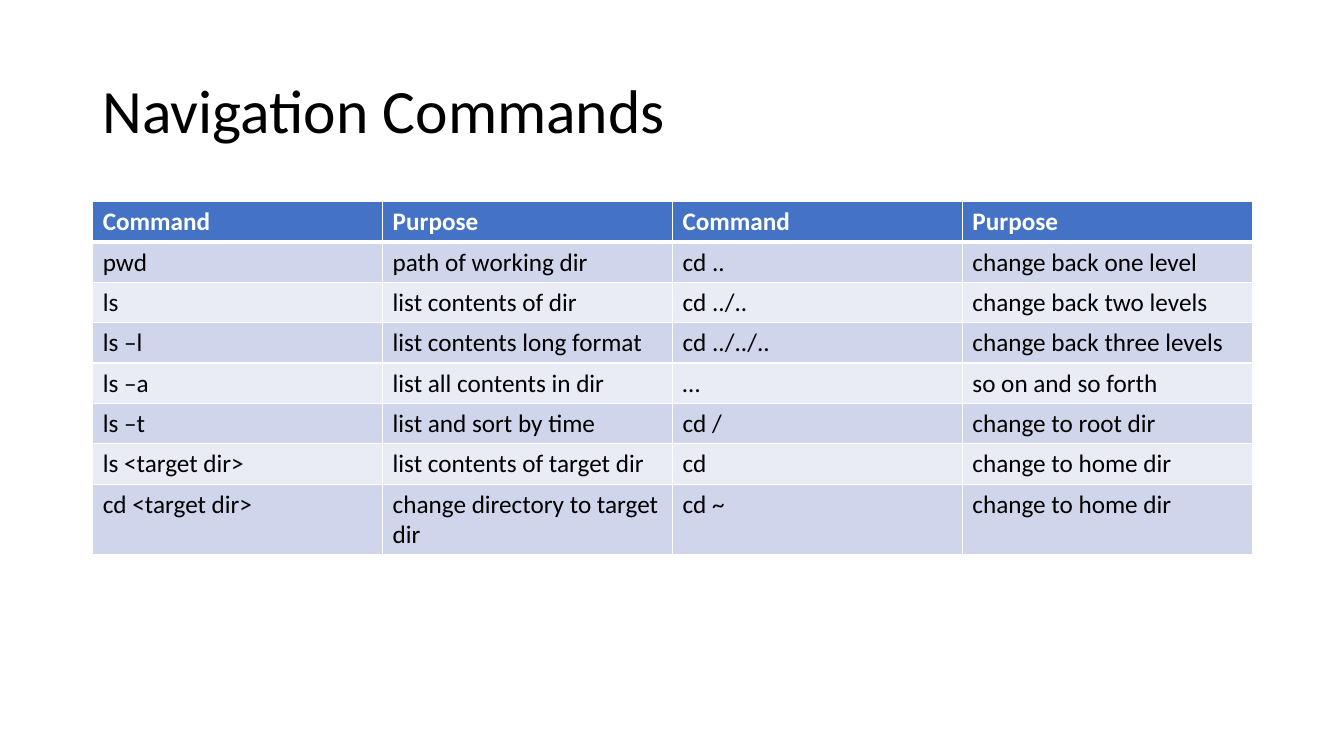
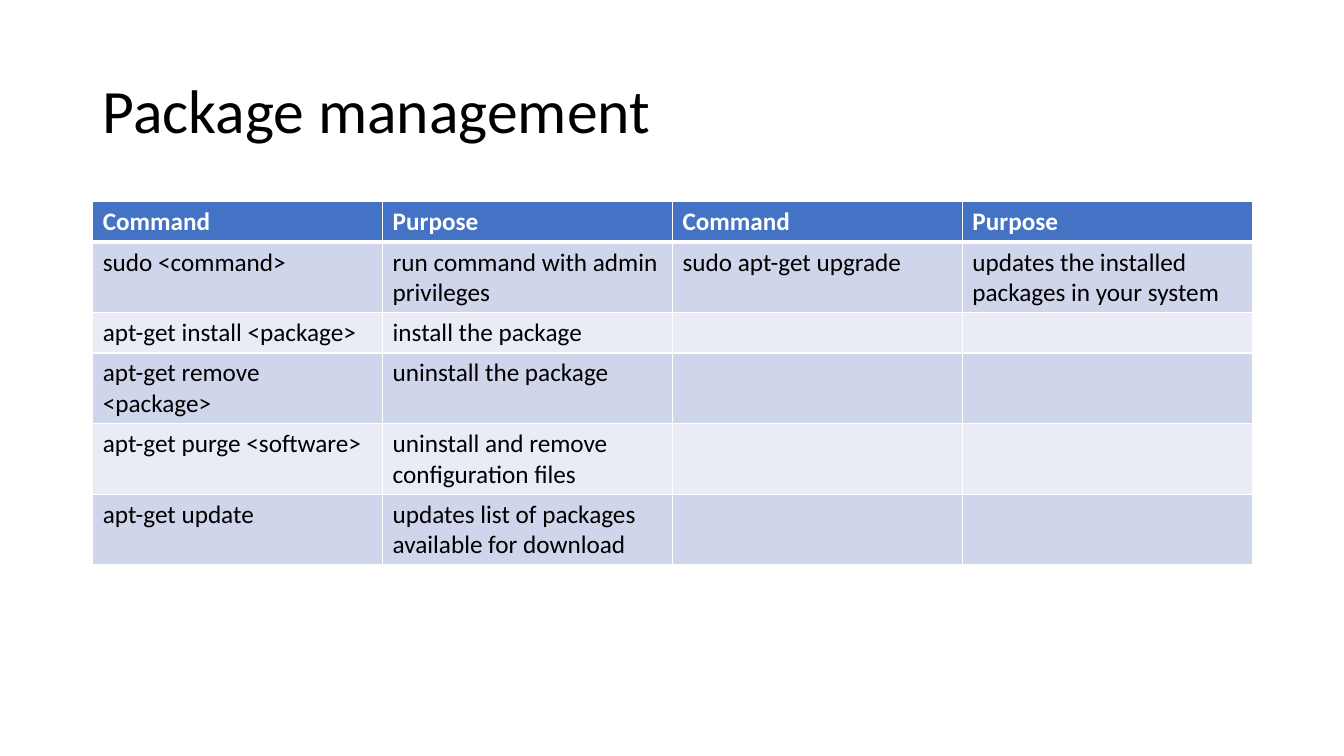
from lxml import etree
from pptx import Presentation
from pptx.dml.color import RGBColor
from pptx.enum.text import MSO_ANCHOR
from pptx.oxml.ns import qn
from pptx.util import Inches, Pt

MIDDLE = MSO_ANCHOR.MIDDLE

BLACK = RGBColor(0x00, 0x00, 0x00)
WHITE = RGBColor(0xFF, 0xFF, 0xFF)
HEADER_BLUE = RGBColor(0x44, 0x72, 0xC4)
BAND_DARK = RGBColor(0xCF, 0xD5, 0xEA)
BAND_LIGHT = RGBColor(0xE9, 0xEB, 0xF5)

FONT = "Calibri"
BLANK_LAYOUT = 6
TITLE_BOX = (0.92, 0.4, 11.5, 1.45)
TABLE_LEFT, TABLE_TOP, TABLE_WIDTH = 0.92, 2, 11.5
ROW_HEIGHT = 0.4  # least height; rows grow with their text
THIN, THICK = 1, 3

HEADER = ("Command", "Purpose", "Command", "Purpose")
NAVIGATION = [
    ("pwd", "path of working dir", "cd ..", "change back one level"),
    ("ls", "list contents of dir", "cd ../..", "change back two levels"),
    ("ls –l", "list contents long format", "cd ../../..", "change back three levels"),
    ("ls –a", "list all contents in dir", "…", "so on and so forth"),
    ("ls –t", "list and sort by time", "cd /", "change to root dir"),
    ("ls <target dir>", "list contents of target dir", "cd", "change to home dir"),
    ("cd <target dir>", "change directory to target dir", "cd ~", "change to home dir"),
]
PACKAGES = [
    ("sudo <command>", "run command with admin privileges",
     "sudo apt-get upgrade", "updates the installed packages in your system"),
    ("apt-get install <package>", "install the package", "", ""),
    ("apt-get remove <package>", "uninstall the package", "", ""),
    ("apt-get purge <software>", "uninstall and remove configuration files", "", ""),
    ("apt-get update", "updates list of packages available for download", "", ""),
]
SLIDES = [("Navigation Commands", NAVIGATION), ("Package management", PACKAGES)]


def write_text(frame, text, *, size=18, color=BLACK, bold=False, line_spacing=None):
    frame.word_wrap = True
    paragraph = frame.paragraphs[0]
    paragraph.line_spacing = line_spacing
    run = paragraph.add_run()
    run.text = text
    run.font.name = FONT
    run.font.size = Pt(size)
    run.font.bold = bold
    run.font.color.rgb = color


def add_title(slide, text, box):
    title = slide.shapes.add_textbox(*map(Inches, box))
    title.text_frame.vertical_anchor = MIDDLE
    write_text(title.text_frame, text, size=44, line_spacing=0.9)


def set_borders(cell, *, top=THIN, bottom=THIN):
    """Draw white cell borders; call before filling, as the schema puts lines first."""
    properties = cell._tc.get_or_add_tcPr()
    for side, points in (("L", THIN), ("R", THIN), ("T", top), ("B", bottom)):
        line = etree.SubElement(properties, qn(f"a:ln{side}"), w=str(Pt(points)))
        fill = etree.SubElement(line, qn("a:solidFill"))
        etree.SubElement(fill, qn("a:srgbClr"), val=str(WHITE))


def add_command_table(slide, commands, left, top, width):
    rows = [HEADER, *commands]
    table = slide.shapes.add_table(
        len(rows), len(HEADER), Inches(left), Inches(top),
        Inches(width), Inches(ROW_HEIGHT * len(rows))).table
    for row_index, row in enumerate(rows):
        is_header = row_index == 0
        band = BAND_DARK if row_index % 2 else BAND_LIGHT
        for column_index, text in enumerate(row):
            cell = table.cell(row_index, column_index)
            set_borders(cell, top=THICK if row_index == 1 else THIN,
                        bottom=THICK if is_header else THIN)
            cell.fill.solid()
            cell.fill.fore_color.rgb = HEADER_BLUE if is_header else band
            if text:
                write_text(cell.text_frame, text, bold=is_header,
                           color=WHITE if is_header else BLACK)


def add_command_slide(presentation, title, commands):
    slide = presentation.slides.add_slide(presentation.slide_layouts[BLANK_LAYOUT])
    add_title(slide, title, TITLE_BOX)
    add_command_table(slide, commands, TABLE_LEFT, TABLE_TOP, TABLE_WIDTH)


def main():
    presentation = Presentation()
    presentation.slide_width = Inches(13.33)
    presentation.slide_height = Inches(7.5)
    for title, commands in SLIDES:
        add_command_slide(presentation, title, commands)
    presentation.save("out.pptx")


if __name__ == "__main__":
    main()
